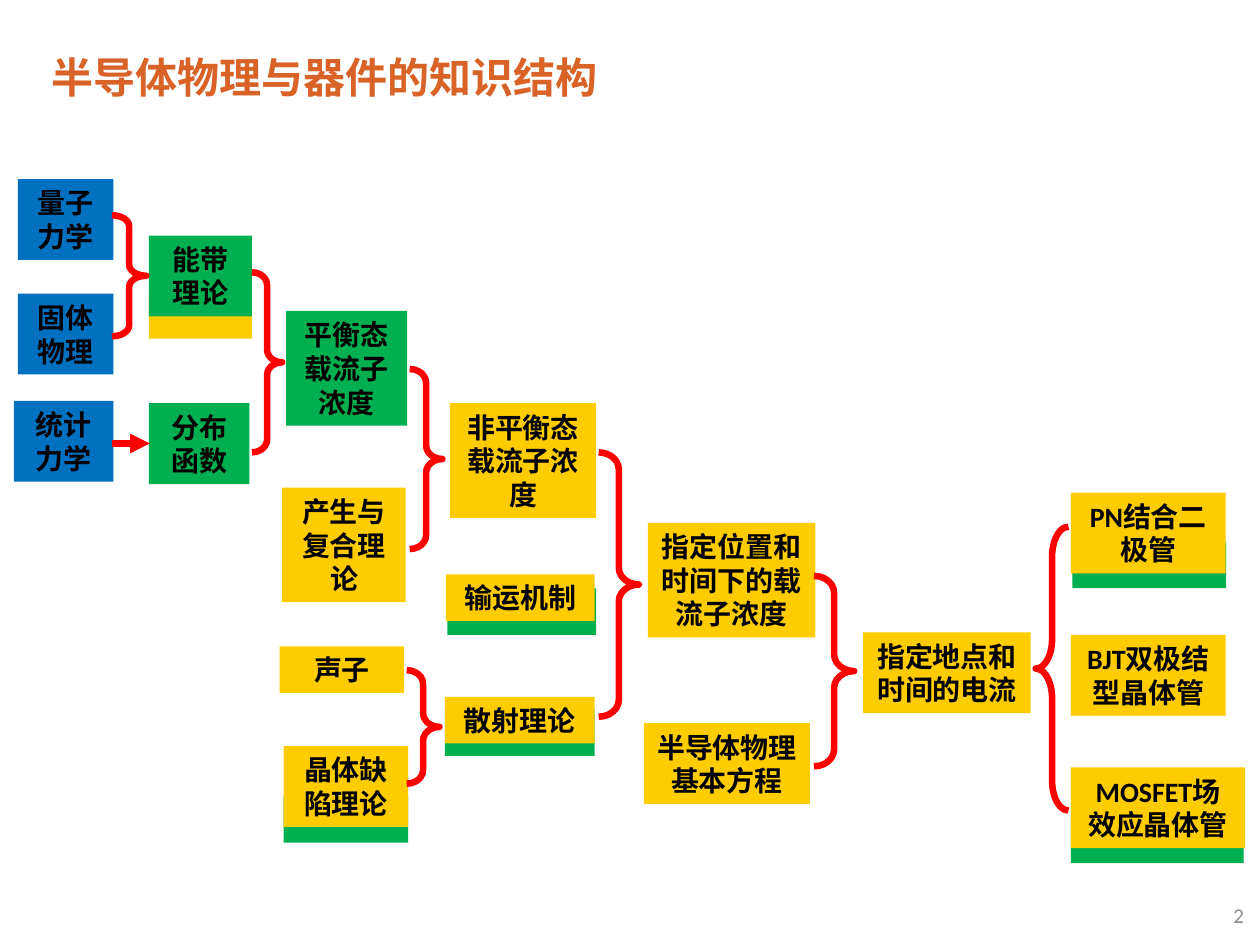
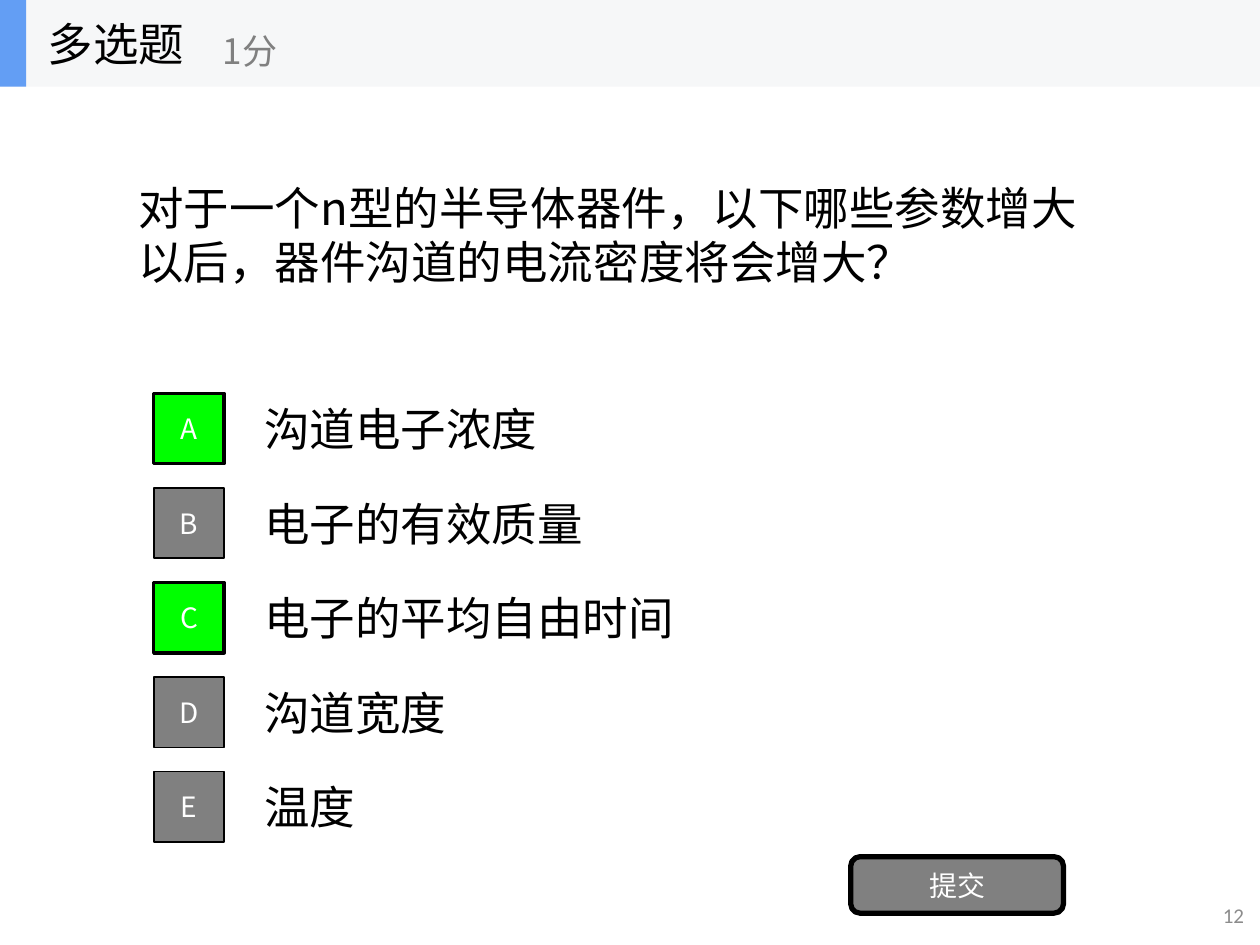
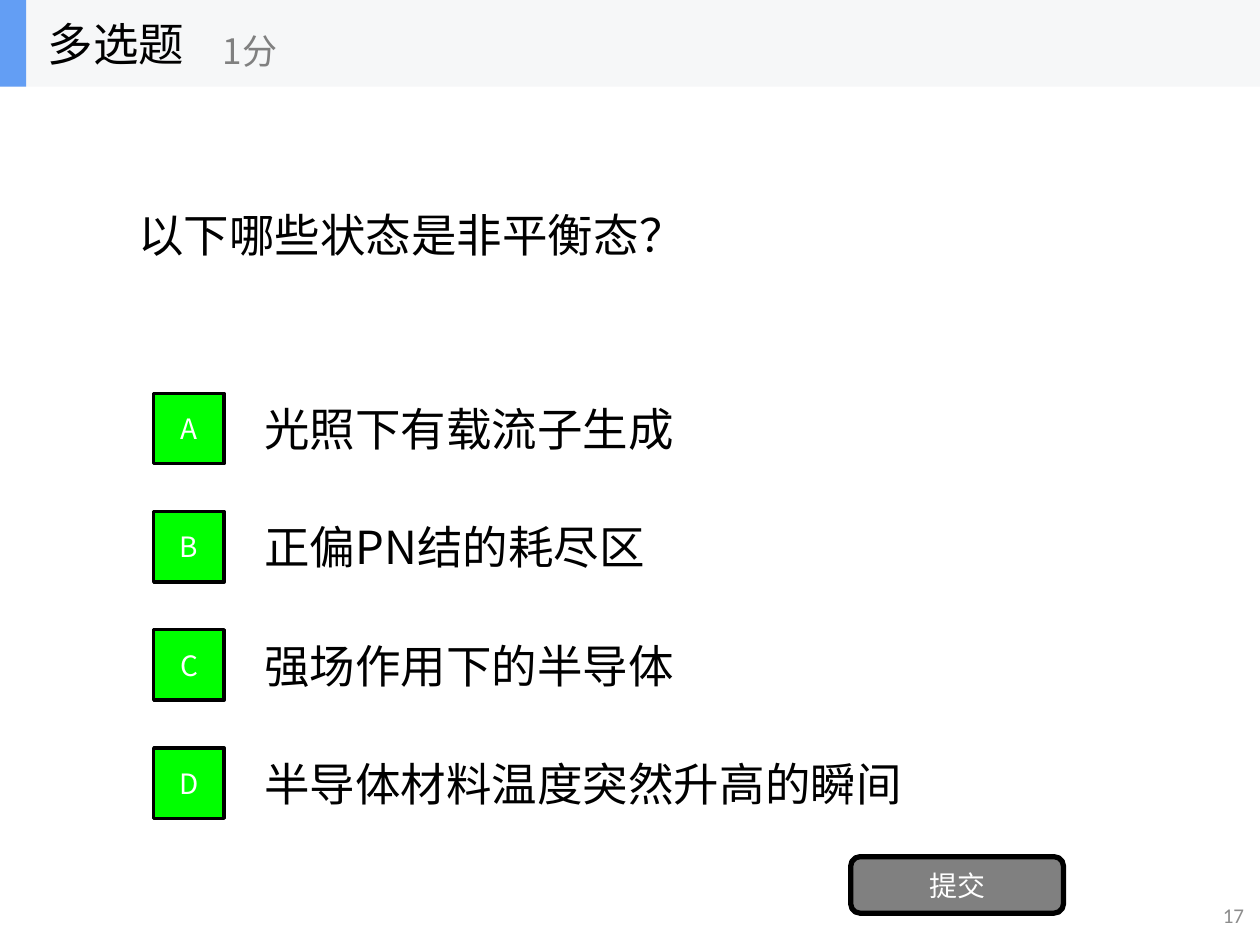
"""Build three slides on semiconductor physics: a knowledge map and two quiz pages."""
from lxml import etree
from pptx import Presentation, util as u
from pptx.dml.color import RGBColor
from pptx.enum import shapes, text
from pptx.oxml.ns import qn

WHITE, BLACK = RGBColor(255, 255, 255), RGBColor(0, 0, 0)
ORANGE, RED = RGBColor(0xD9, 0x62, 0x27), RGBColor(255, 0, 0)
BLUE, GREEN, YELLOW = RGBColor(0, 0x70, 0xC0), RGBColor(0, 0xB0, 0x50), RGBColor(255, 0xCC, 0)
LIME, GREY, NUMBER_GREY = RGBColor(0, 255, 0), RGBColor(0x80, 0x80, 0x80), RGBColor(0x8C, 0x8C, 0x8C)
BAND, ACCENT = RGBColor(0xF6, 0xF7, 0xF8), RGBColor(0x63, 0x9E, 0xF4)
SANS, CJK, SERIF = "Calibri", "Noto Sans CJK SC", "Times New Roman"
SHAPE = shapes.MSO_SHAPE
LEFT, CENTER, RIGHT = text.PP_ALIGN.LEFT, text.PP_ALIGN.CENTER, text.PP_ALIGN.RIGHT
MIDDLE, TOP = text.MSO_ANCHOR.MIDDLE, text.MSO_ANCHOR.TOP

TITLE_STYLE = dict(name=SERIF, size=u.Pt(24), bold=True)
CONCEPT_STYLE = dict(name=SANS, size=u.Pt(16), bold=True)
NUMBER_STYLE = dict(name=SANS, size=u.Pt(12))
QUIZ_STYLE = dict(name=CJK, size=u.Pt(26))
SCORE_STYLE = dict(name=CJK, size=u.Pt(20))
BUTTON_STYLE = dict(name=CJK, size=u.Pt(16))

MAP_TITLE = "半导体物理与器件的知识结构"
HEIGHT_BY_LINES = {1: 0.94, 2: 1.63, 3: 2.31}
UNDERLAYS = [
    (YELLOW, 3, 5.89, 2.08),
    (GREEN, 21.59, 16.46, 3.48),
    (GREEN, 21.62, 10.92, 3.1),
    (GREEN, 5.72, 16.05, 2.51),
    (GREEN, 9.02, 11.86, 3),
    (GREEN, 8.97, 14.3, 3.02),
]
CONCEPTS = [
    ("量子力学", BLUE, 0.36, 3.61, 1.93, 2),
    ("固体物理", BLUE, 0.36, 5.92, 1.93, 2),
    ("统计力学", BLUE, 0.28, 8.08, 2.01, 2),
    ("能带理论", GREEN, 3, 4.75, 2.08, 2),
    ("分布函数", GREEN, 3, 8.13, 2.03, 2),
    ("平衡态载流子浓度", GREEN, 5.77, 6.27, 2.44, 3),
    ("产生与复合理论", YELLOW, 5.69, 9.83, 2.49, 3),
    ("声子", YELLOW, 5.64, 13.03, 2.51, 1),
    ("晶体缺陷理论", YELLOW, 5.72, 15.04, 2.51, 2),
    ("非平衡态载流子浓度", YELLOW, 9.07, 8.13, 2.95, 3),
    ("输运机制", YELLOW, 8.99, 11.58, 3, 1),
    ("散射理论", YELLOW, 8.97, 14.05, 3.02, 1),
    ("指定位置和时间下的载流子浓度", YELLOW, 13.06, 10.54, 3.38, 3),
    ("半导体物理基本方程", YELLOW, 12.98, 14.58, 3.35, 2),
    ("指定地点和时间的电流", YELLOW, 17.4, 12.75, 3.38, 2),
    ("PN结合二极管", YELLOW, 21.59, 9.93, 3.12, 2),
    ("BJT双极结型晶体管", YELLOW, 21.59, 12.8, 3.12, 2),
    ("MOSFET场效应晶体管", YELLOW, 21.59, 15.47, 3.51, 2),
]
BRACES = [
    (SHAPE.RIGHT_BRACE, (2.26, 4.34, 0.69, 2.44), 0.32),
    (SHAPE.RIGHT_BRACE, (5.08, 5.49, 0.61, 3.63), 0.42),
    (SHAPE.RIGHT_BRACE, (8.26, 7.44, 0.66, 3.63), 0.42),
    (SHAPE.RIGHT_BRACE, (8.2, 13.51, 0.66, 2.29), 0.42),
    (SHAPE.RIGHT_BRACE, (12.07, 9.12, 0.81, 5.33), 0.42),
    (SHAPE.RIGHT_BRACE, (16.41, 11.61, 0.81, 3.84), 0.42),
    (SHAPE.LEFT_BRACE, (20.88, 10.62, 0.66, 5.72), 0.91),
]
ARROW = (2.26, 8.94, 3.02, 8.94)

QUIZZES = [
    (12, "对于一个n型的半导体器件，以下哪些参数增大以后，器件沟道的电流密度将会增大？", "AC",
     ["沟道电子浓度", "电子的有效质量", "电子的平均自由时间", "沟道宽度", "温度"]),
    (17, "以下哪些状态是非平衡态？", "ABCD",
     ["光照下有载流子生成", "正偏PN结的耗尽区", "强场作用下的半导体", "半导体材料温度突然升高的瞬间"]),
]
OPTIONS_TOP, OPTIONS_HEIGHT, OPTION_HEIGHT, MARK = 7.75, 9.53, 1.78, 1.42


def cm(values):
    return [u.Cm(value) for value in values]


def write(box, words, style, color, align=LEFT, anchor=MIDDLE):
    frame = box.text_frame
    frame.word_wrap, frame.vertical_anchor = True, anchor
    para = frame.paragraphs[0]
    para.alignment = align
    span = para.add_run()
    span.text = words
    for key, value in style.items():
        setattr(span.font, key, value)
    span.font.color.rgb = color
    east_asian = etree.SubElement(span.font._element, qn("a:ea"))
    east_asian.set("typeface", CJK)


def add_text(canvas, place, *content):
    write(canvas.add_textbox(*cm(place)), *content)


def add_box(canvas, place, fill=None, line=None, width=0, kind=SHAPE.RECTANGLE):
    box = canvas.add_shape(kind, *cm(place))
    box.shadow.inherit = False
    if fill is None:
        box.fill.background()
    else:
        box.fill.solid()
        box.fill.fore_color.rgb = fill
    if line is None:
        box.line.fill.background()
    else:
        box.line.color.rgb = line
        box.line.width = u.Pt(width)
    return box


def add_arrow(canvas, ends):
    arrow = canvas.add_connector(shapes.MSO_CONNECTOR.STRAIGHT, *cm(ends))
    arrow.line.color.rgb = RED
    arrow.line.width = u.Pt(3.75)
    properties = arrow._element.spPr
    etree.SubElement(properties.find(qn("a:ln")), qn("a:tailEnd")).set("type", "triangle")
    etree.SubElement(properties, qn("a:effectLst"))


def add_page(deck, number):
    page = deck.slides.add_slide(deck.slide_layouts[6])
    add_text(page.shapes, (19.61, 17.93, 5.72, 1.02), str(number), NUMBER_STYLE, NUMBER_GREY, RIGHT)
    return page.shapes


def build_map(deck):
    canvas = add_page(deck, 2)
    add_text(canvas, (0.79, 0.91, 11.68, 1.27), MAP_TITLE, TITLE_STYLE, ORANGE, LEFT, TOP)
    for color, left, top, width in UNDERLAYS:
        add_box(canvas, (left, top, width, HEIGHT_BY_LINES[1]), color)
    for words, color, left, top, width, lines in CONCEPTS:
        box = add_box(canvas, (left, top, width, HEIGHT_BY_LINES[lines]), color)
        write(box, words, CONCEPT_STYLE, BLACK, CENTER)
    for kind, place, curve in BRACES:
        brace = add_box(canvas, place, None, RED, 3.75, kind)
        brace.adjustments[0] = curve
    add_arrow(canvas, ARROW)


def build_quiz(deck, number, question, answers, options):
    canvas = add_page(deck, number)
    add_text(canvas, (2.54, 1.75, 20.32, 5.94), question, QUIZ_STYLE, BLACK)
    pitch = OPTIONS_HEIGHT / len(options)
    for index, (letter, option) in enumerate(zip("ABCDE", options)):
        top = OPTIONS_TOP + index * pitch
        add_text(canvas, (5.08, top, 17.78, OPTION_HEIGHT), option, QUIZ_STYLE, BLACK)
        fill, width = (LIME, 2) if letter in answers else (GREY, 1)
        place = (3.1, top + (OPTION_HEIGHT - MARK) / 2, MARK, MARK)
        write(add_box(canvas, place, fill, BLACK, width), letter, BUTTON_STYLE, WHITE, CENTER)
    button = add_box(canvas, (17.15, 17.27, 4.29, 1.14), GREY, BLACK, 3, SHAPE.ROUNDED_RECTANGLE)
    write(button, "提交", BUTTON_STYLE, WHITE, CENTER)
    header = canvas.add_group_shape().shapes
    add_box(header, (0, 0, 25.4, 1.75), BAND)
    add_box(header, (0, 0, 0.53, 1.75), ACCENT)
    add_text(header, (0.71, 0, 5.28, 1.75), "多选题", QUIZ_STYLE, BLACK)
    add_text(header, (4.24, 0.3, 6.35, 1.42), "1分", SCORE_STYLE, GREY)


def main():
    deck = Presentation()
    deck.slide_width, deck.slide_height = cm((25.4, 19.05))
    build_map(deck)
    for quiz in QUIZZES:
        build_quiz(deck, *quiz)
    deck.save("out.pptx")


if __name__ == "__main__":
    main()
